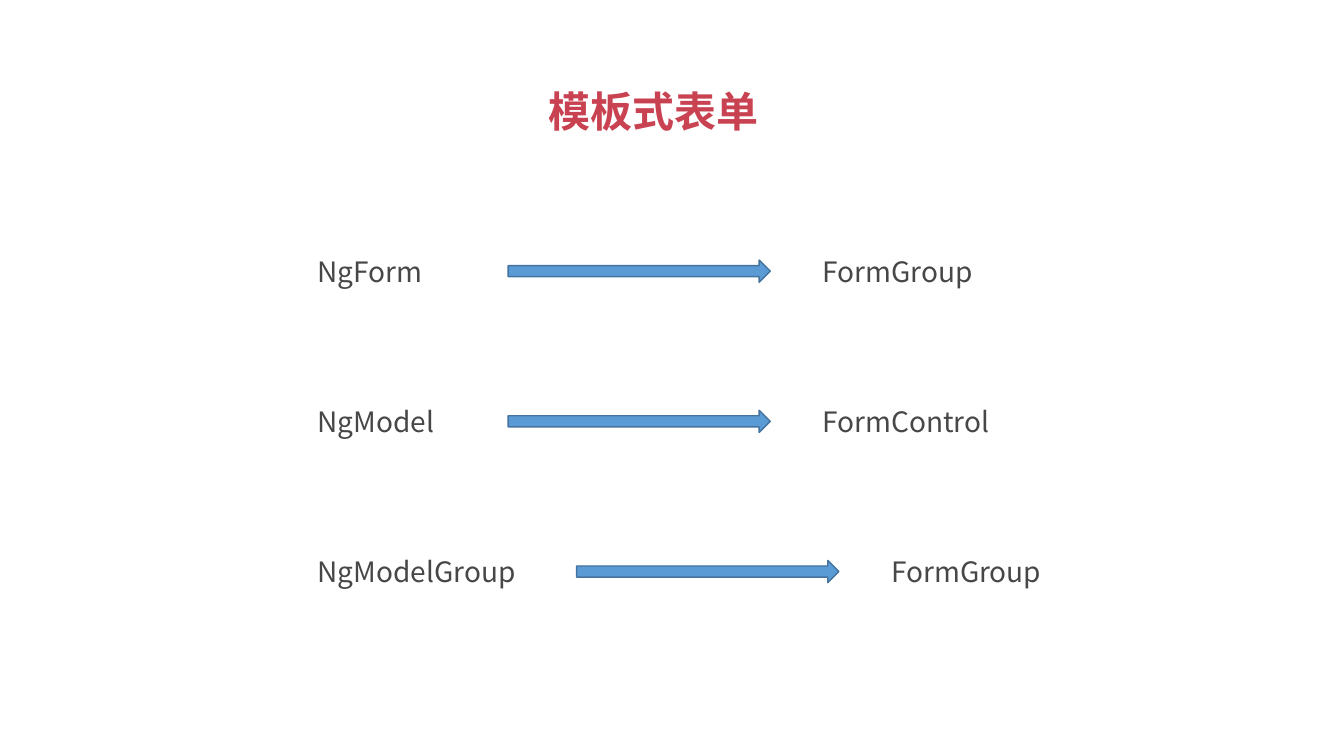
from pptx import Presentation
from pptx.dml.color import RGBColor
from pptx.enum import shapes, text
from pptx.oxml import ns
from pptx.util import Inches, Pt
from lxml import etree

FONT = "Noto Sans CJK SC"
TITLE = "模板式表单"
# directive, width of its box, model class, width of its box, arrow left
ROWS = [
    ("NgForm", 9, "FormGroup", 4.44, 5.04),
    ("NgModel", 9, "FormControl", 3.27, 5.04),
    ("NgModelGroup", 4.44, "FormGroup", 4.44, 5.72),
]
LEFT, TOP, STEP, HIGH = 2.55, 2.47, 1.49, 0.44
ARROW_W, ARROW_H, ARROW_DROP = 2.6, 0.22, 0.11
CLASS_GAP = 2.52  # from arrow left to class box left


def color(code):
    return RGBColor.from_string(code)


def style(para, size, code, bold=False):
    font = para.font
    font.name, font.size, font.bold = FONT, Pt(size), bold
    font.color.rgb = color(code)
    props = para._p.pPr.find(ns.qn("a:defRPr"))
    etree.SubElement(props, ns.qn("a:ea")).set("typeface", FONT)


def label(parent, words, x, y, width):
    box = parent.add_textbox(Inches(x), Inches(y), Inches(width), Inches(HIGH))
    frame = box.text_frame
    frame.word_wrap = True
    frame.vertical_anchor = text.MSO_ANCHOR.MIDDLE
    frame.auto_size = text.MSO_AUTO_SIZE.SHAPE_TO_FIT_TEXT
    para = frame.paragraphs[0]
    para.text = words
    para.level = 1
    props = para._p.get_or_add_pPr()
    props.set("marL", str(Inches(0.5)))
    props.set("indent", "0")
    style(para, 20, "474747")


def arrow(parent, x, y):
    bar = parent.add_shape(shapes.MSO_SHAPE.RIGHT_ARROW, Inches(x), Inches(y),
                           Inches(ARROW_W), Inches(ARROW_H))
    bar.shadow.inherit = False
    bar.fill.solid()
    bar.fill.fore_color.rgb = color("5B9BD5")
    bar.line.color.rgb = color("43739E")
    bar.line.width = Pt(1)


deck = Presentation()
deck.slide_width, deck.slide_height = Inches(13.33), Inches(7.5)
slide = deck.slides.add_slide(deck.slide_layouts[5])

# Title
title = slide.shapes.title
title.left, title.top = Inches(5.34), Inches(0.8)
title.width, title.height = Inches(2.31), Inches(0.61)
frame = title.text_frame
frame.text = TITLE
frame.word_wrap = False
frame.vertical_anchor = text.MSO_ANCHOR.TOP
frame.auto_size = text.MSO_AUTO_SIZE.SHAPE_TO_FIT_TEXT
frame.paragraphs[0].alignment = text.PP_ALIGN.LEFT
style(frame.paragraphs[0], 30, "C94251", True)

# Directives, each with an arrow to its class
for i, (name, wide, kind, span, x) in enumerate(ROWS):
    y = TOP + i * STEP
    label(slide.shapes, name, LEFT, y, wide)
    pair = slide.shapes.add_group_shape().shapes
    label(pair, kind, x + CLASS_GAP, y, span)
    arrow(pair, x, y + ARROW_DROP)

deck.save("out.pptx")
